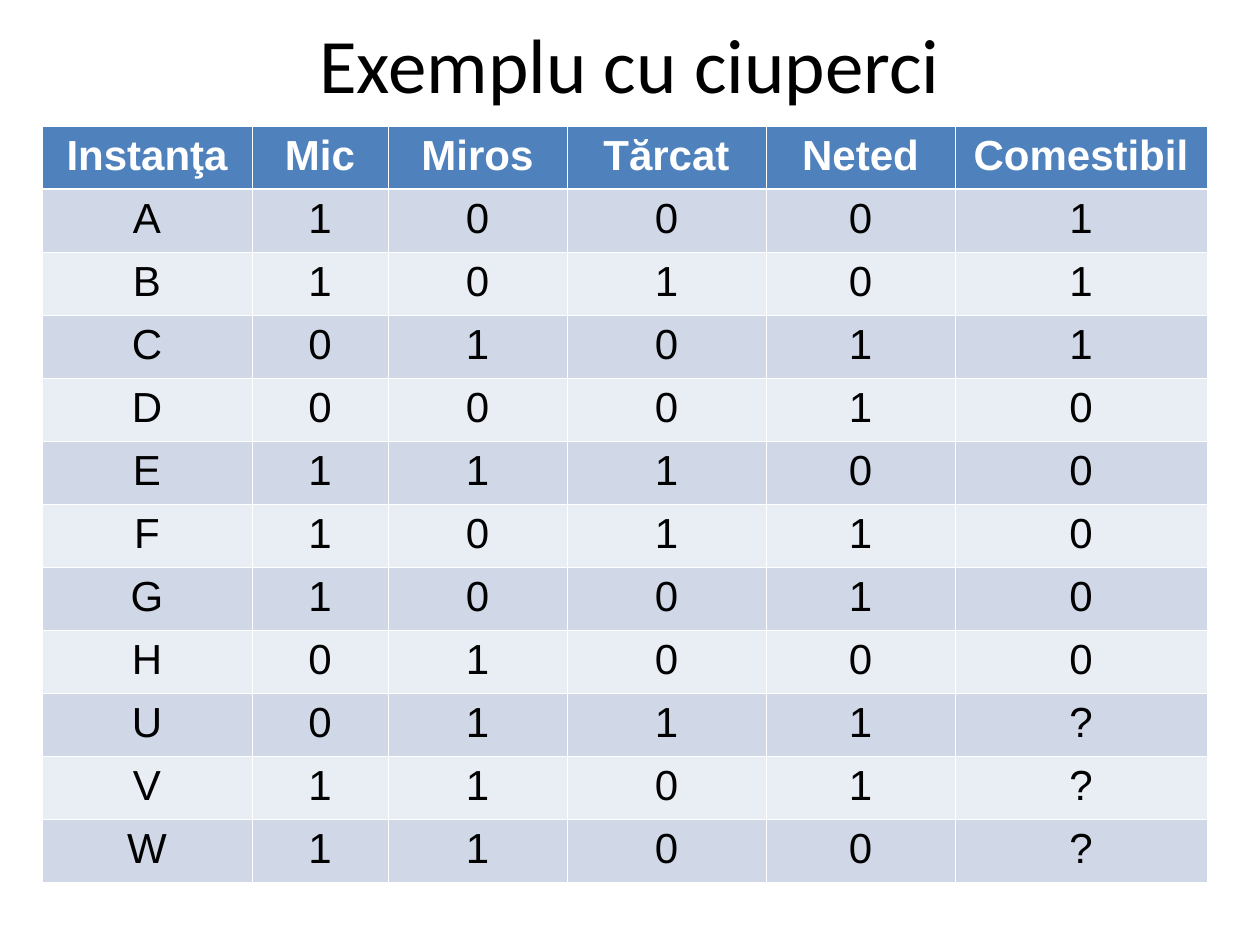
from lxml import etree
from pptx import Presentation
from pptx.dml.color import RGBColor
from pptx.enum.text import MSO_ANCHOR, PP_ALIGN
from pptx.oxml.ns import qn
from pptx.util import Emu, Pt

CENTER = PP_ALIGN.CENTER
MIDDLE = MSO_ANCHOR.MIDDLE
TOP = MSO_ANCHOR.TOP

BLACK = RGBColor(0x00, 0x00, 0x00)
WHITE = RGBColor(0xFF, 0xFF, 0xFF)
BLUE = RGBColor(0x4F, 0x81, 0xBD)
DARK = RGBColor(0xD0, 0xD8, 0xE8)
LIGHT = RGBColor(0xE9, 0xED, 0xF4)

THIN = Pt(0.45)
THICK = Pt(1.47)
WIDTHS = [210, 136, 179, 199, 189, 252]
ROW = 63
HEADS = ["Instanţa", "Mic", "Miros", "Tărcat", "Neted", "Comestibil"]
ROWS = [
    "A10001", "B10101", "C01011", "D00010", "E11100", "F10110",
    "G10010", "H01000", "U0111?", "V1101?", "W1100?",
]


def px(n):
    return Emu(round(n * 914400 / 126))


def style(frame, size, name, color, bold=False):
    para = frame.paragraphs[0]
    para.alignment = CENTER
    font = para.runs[0].font
    font.size = Pt(size)
    font.name = name
    font.bold = bold
    font.color.rgb = color


def add_title(slide, text):
    title = slide.shapes.title
    title.left, title.top = px(63), px(0)
    title.width, title.height = px(1134), px(126)
    frame = title.text_frame
    frame.text = text
    frame.vertical_anchor = MIDDLE
    style(frame, 44, "Calibri", BLACK)


def set_edge(cell, side, width):
    props = cell._tc.get_or_add_tcPr()
    line = etree.SubElement(props, qn(f"a:ln{side}"), w=str(int(width)))
    fill = etree.SubElement(line, qn("a:solidFill"))
    etree.SubElement(fill, qn("a:srgbClr"), val=str(WHITE))


def fill_cell(cell, text, row):
    head = row == 0
    cell.text = text
    cell.vertical_anchor = TOP
    style(cell.text_frame, 24, "Arial", WHITE if head else BLACK, head)
    set_edge(cell, "L", THIN)
    set_edge(cell, "R", THIN)
    set_edge(cell, "T", THICK if row == 1 else THIN)
    set_edge(cell, "B", THICK if head else THIN)
    cell.fill.solid()
    cell.fill.fore_color.rgb = BLUE if head else DARK if row % 2 else LIGHT


def add_grid(slide, data):
    frame = slide.shapes.add_table(
        len(data), len(WIDTHS), px(42), px(126),
        px(sum(WIDTHS)), px(ROW * len(data)))
    table = frame.table
    table.horz_banding = False
    for col, width in zip(table.columns, WIDTHS):
        col.width = px(width)
    for i, texts in enumerate(data):
        table.rows[i].height = px(ROW)
        for j, text in enumerate(texts):
            fill_cell(table.cell(i, j), text, i)


def main():
    deck = Presentation()
    deck.slide_width, deck.slide_height = px(1260), px(945)
    slide = deck.slides.add_slide(deck.slide_layouts[5])
    add_title(slide, "Exemplu cu ciuperci")
    add_grid(slide, [HEADS, *ROWS])
    deck.save("out.pptx")


if __name__ == "__main__":
    main()
